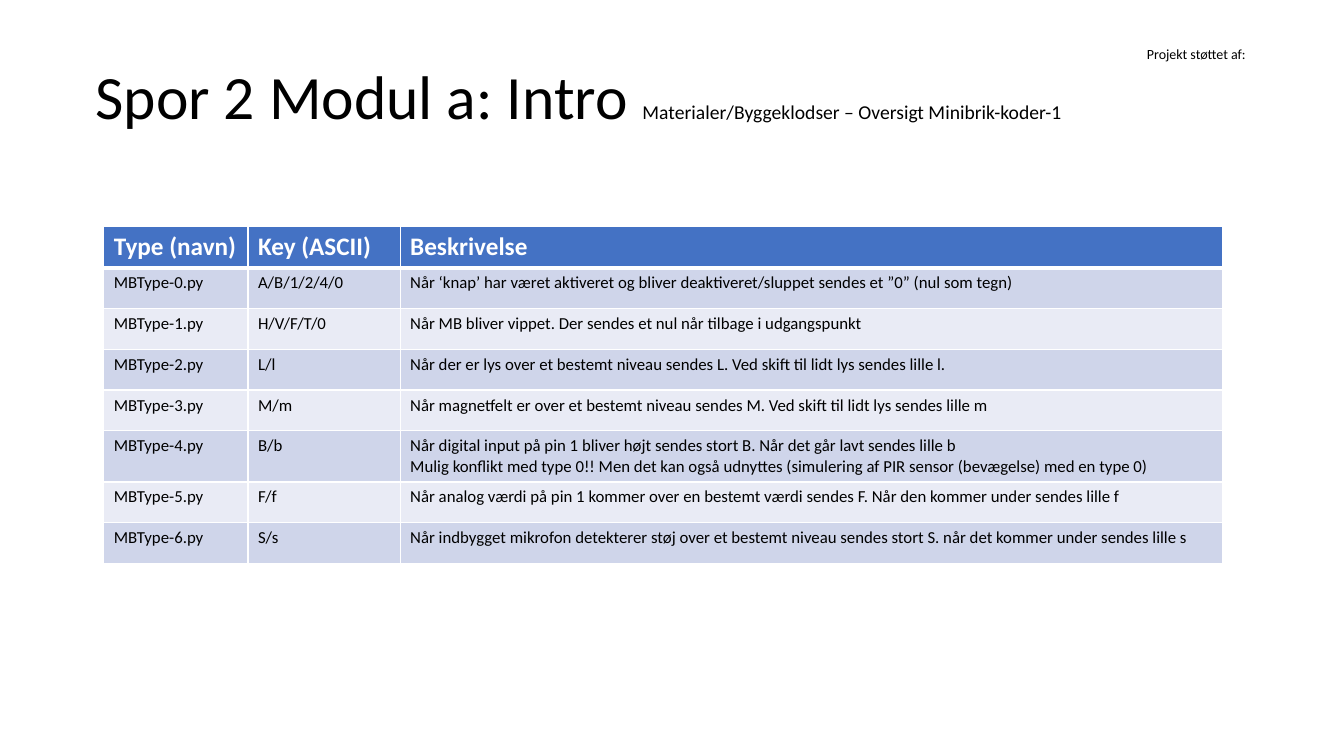
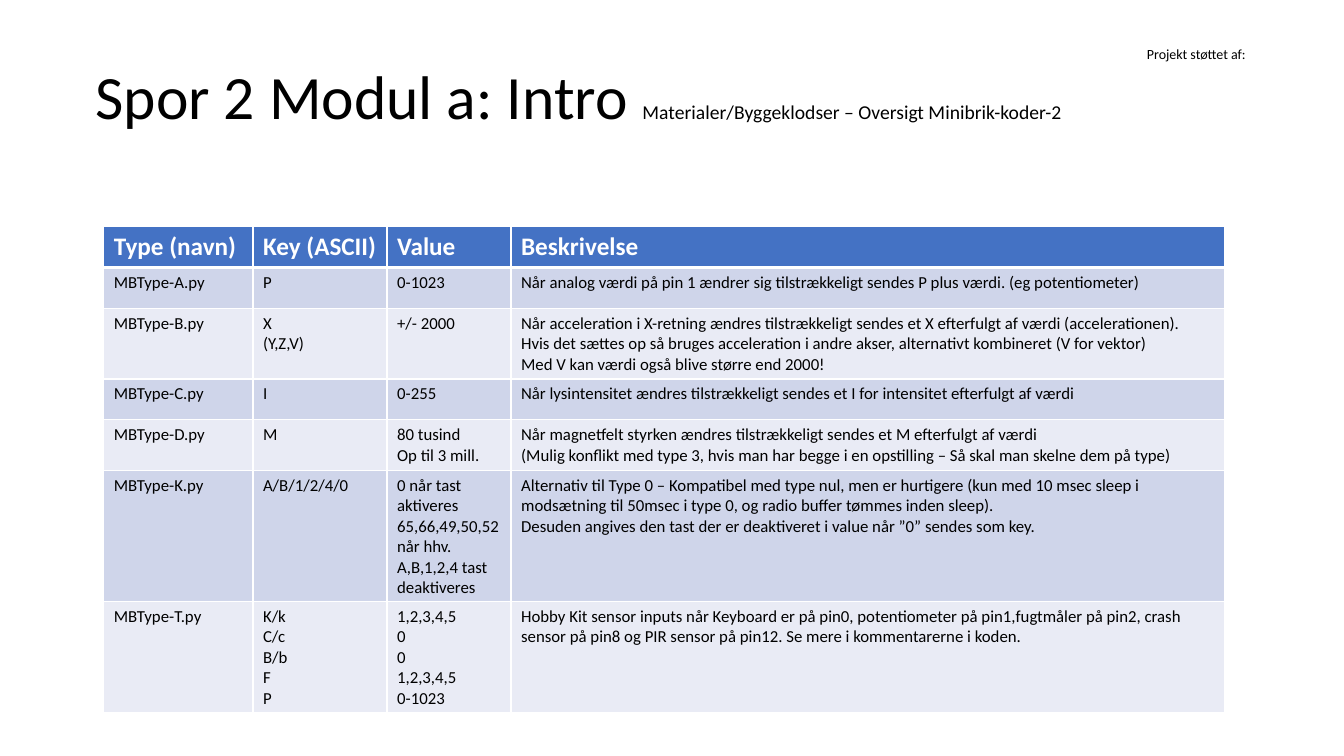
import dataclasses
import lxml.etree
import pptx
import pptx.dml.color
import pptx.enum.text
import pptx.oxml.ns
import pptx.util


@dataclasses.dataclass(frozen=True)
class Theme:
    font: str = "Calibri"
    ink: str = "000000"
    paper: str = "FFFFFF"
    head: str = "4472C4"
    bands: tuple = ("CFD5EA", "E9EBF5")
    title: int = 44
    sub: int = 14
    label: int = 18
    body: int = 12
    note: int = 10
    thin: int = 1
    thick: int = 3


@dataclasses.dataclass(frozen=True)
class Box:
    """Left, top, width and height in grid units."""
    x: float
    y: float
    w: float
    h: float


THEME = Theme()
UNIT = 0.1  # inches in one grid column or row
COLS, ROWS = 133.33, 75
HEAD = Box(8.5, 4, 118, 9.7)
GRID = Box(10.3, 22.5, 111, 4.05)  # height is that of one row

TITLE = "Spor 2 Modul a: Intro "
TOPIC = "Materialer/Byggeklodser – Oversigt Minibrik-koder-"
CREDIT = "Projekt støttet af:"

KEYS = (
    (14.3, 15.1, 81.6),
    [
        ("Type (navn)", "Key (ASCII)", "Beskrivelse"),
        ("MBType-0.py", "A/B/1/2/4/0",
         "Når ‘knap’ har været aktiveret og bliver deaktiveret/sluppet sendes et ”0” (nul som tegn)"),
        ("MBType-1.py", "H/V/F/T/0",
         "Når MB bliver vippet. Der sendes et nul når tilbage i udgangspunkt"),
        ("MBType-2.py", "L/l",
         "Når der er lys over et bestemt niveau sendes L. Ved skift til lidt lys sendes lille l."),
        ("MBType-3.py", "M/m",
         "Når magnetfelt er over et bestemt niveau sendes M. Ved skift til lidt lys sendes lille m"),
        ("MBType-4.py", "B/b",
         "Når digital input på pin 1 bliver højt sendes stort B. Når det går lavt sendes lille b\n"
         "Mulig konflikt med type 0!! Men det kan også udnyttes "
         "(simulering af PIR sensor (bevægelse) med en type 0)"),
        ("MBType-5.py", "F/f",
         "Når analog værdi på pin 1 kommer over en bestemt værdi sendes F. "
         "Når den kommer under sendes lille f"),
        ("MBType-6.py", "S/s",
         "Når indbygget mikrofon detekterer støj over et bestemt niveau sendes stort S. "
         "når det kommer under sendes lille s"),
    ],
)

VALUES = (
    (14.8, 13.3, 12.3, 70.8),
    [
        ("Type (navn)", "Key (ASCII)", "Value", "Beskrivelse"),
        ("MBType-A.py", "P", "0-1023",
         "Når analog værdi på pin 1 ændrer sig tilstrækkeligt sendes P plus værdi. (eg potentiometer)"),
        ("MBType-B.py", "X\n(Y,Z,V)", "+/- 2000",
         "Når acceleration i X-retning ændres tilstrækkeligt sendes et X efterfulgt af værdi "
         "(accelerationen).\n"
         "Hvis det sættes op så bruges acceleration i andre akser, alternativt kombineret "
         "(V for vektor)\n"
         "Med V kan værdi også blive større end 2000!"),
        ("MBType-C.py", "I", "0-255",
         "Når lysintensitet ændres tilstrækkeligt sendes et I for intensitet efterfulgt af værdi"),
        ("MBType-D.py", "M", "80 tusind\nOp til 3 mill.",
         "Når magnetfelt styrken ændres tilstrækkeligt sendes et M efterfulgt af værdi\n"
         "(Mulig konflikt med type 3, hvis man har begge i en opstilling – "
         "Så skal man skelne dem på type)"),
        ("MBType-K.py", "A/B/1/2/4/0",
         "0 når tast aktiveres\n65,66,49,50,52 når hhv. A,B,1,2,4 tast deaktiveres",
         "Alternativ til Type 0 – Kompatibel med type nul, men er hurtigere (kun med 10 msec sleep i "
         "modsætning til 50msec i type 0, og radio buffer tømmes inden sleep).\n"
         "Desuden angives den tast der er deaktiveret i value når ”0” sendes som key."),
        ("MBType-T.py", "K/k\nC/c\nB/b\nF\nP", "1,2,3,4,5\n0\n0\n1,2,3,4,5\n0-1023",
         "Hobby Kit sensor inputs når Keyboard er på pin0, potentiometer på pin1,"
         "fugtmåler på pin2, crash sensor på pin8 og PIR sensor på pin12. "
         "Se mere i kommentarerne i koden."),
    ],
)


def span(units):
    return pptx.util.Inches(units * UNIT)


def place(box):
    return [span(n) for n in (box.x, box.y, box.w, box.h)]


def rgb(code):
    return pptx.dml.color.RGBColor.from_string(code)


def style(font, size, color=THEME.ink, bold=False):
    font.name, font.size, font.bold = THEME.font, pptx.util.Pt(size), bold
    font.color.rgb = rgb(color)


def write(slide, box, parts):
    """Add one line of text made of (text, size) parts."""
    frame = slide.shapes.add_textbox(*place(box)).text_frame
    frame.word_wrap = True
    frame.auto_size = pptx.enum.text.MSO_AUTO_SIZE.SHAPE_TO_FIT_TEXT
    for text, size in parts:
        run = frame.paragraphs[0].add_run()
        run.text = text
        style(run.font, size)


def header(slide, box, topic):
    split = 104.3
    write(slide, Box(box.x, box.y + 1.3, split, 8.4),
          [(TITLE, THEME.title), (topic, THEME.sub)])
    write(slide, Box(box.x + split, box.y, box.w - split, 2.7),
          [(CREDIT, THEME.note)])


def edge(cell, top, bottom):
    """Draw the cell's borders; the sides are thin."""
    props = cell._tc.get_or_add_tcPr()
    qn = pptx.oxml.ns.qn
    sides = {"L": THEME.thin, "R": THEME.thin, "T": top, "B": bottom}
    for side, width in sides.items():
        line = lxml.etree.SubElement(props, qn("a:ln" + side), w=str(pptx.util.Pt(width)))
        fill = lxml.etree.SubElement(line, qn("a:solidFill"))
        lxml.etree.SubElement(fill, qn("a:srgbClr"), val=THEME.paper)


def fill(cell, text, row):
    head = row == 0
    edge(cell, THEME.thick if row == 1 else THEME.thin,
         THEME.thick if head else THEME.thin)
    cell.fill.solid()
    cell.fill.fore_color.rgb = rgb(THEME.head if head else THEME.bands[(row - 1) % 2])
    cell.text_frame.text = text
    for para in cell.text_frame.paragraphs:
        for run in para.runs:
            if head:
                style(run.font, THEME.label, THEME.paper, True)
            else:
                style(run.font, THEME.body)


def table(slide, box, widths, rows):
    size = Box(box.x, box.y, sum(widths), box.h * len(rows))
    grid = slide.shapes.add_table(len(rows), len(widths), *place(size)).table
    for col, width in zip(grid.columns, widths):
        col.width = span(width)
    for r, texts in enumerate(rows):
        grid.rows[r].height = span(box.h)
        for c, text in enumerate(texts):
            fill(grid.cell(r, c), text, r)


def main():
    deck = pptx.Presentation()
    deck.slide_width, deck.slide_height = span(COLS), span(ROWS)
    for num, (widths, rows) in enumerate((KEYS, VALUES), 1):
        slide = deck.slides.add_slide(deck.slide_layouts[6])
        table(slide, GRID, widths, rows)
        header(slide, HEAD, f"{TOPIC}{num}")
    deck.save("out.pptx")


if __name__ == "__main__":
    main()
